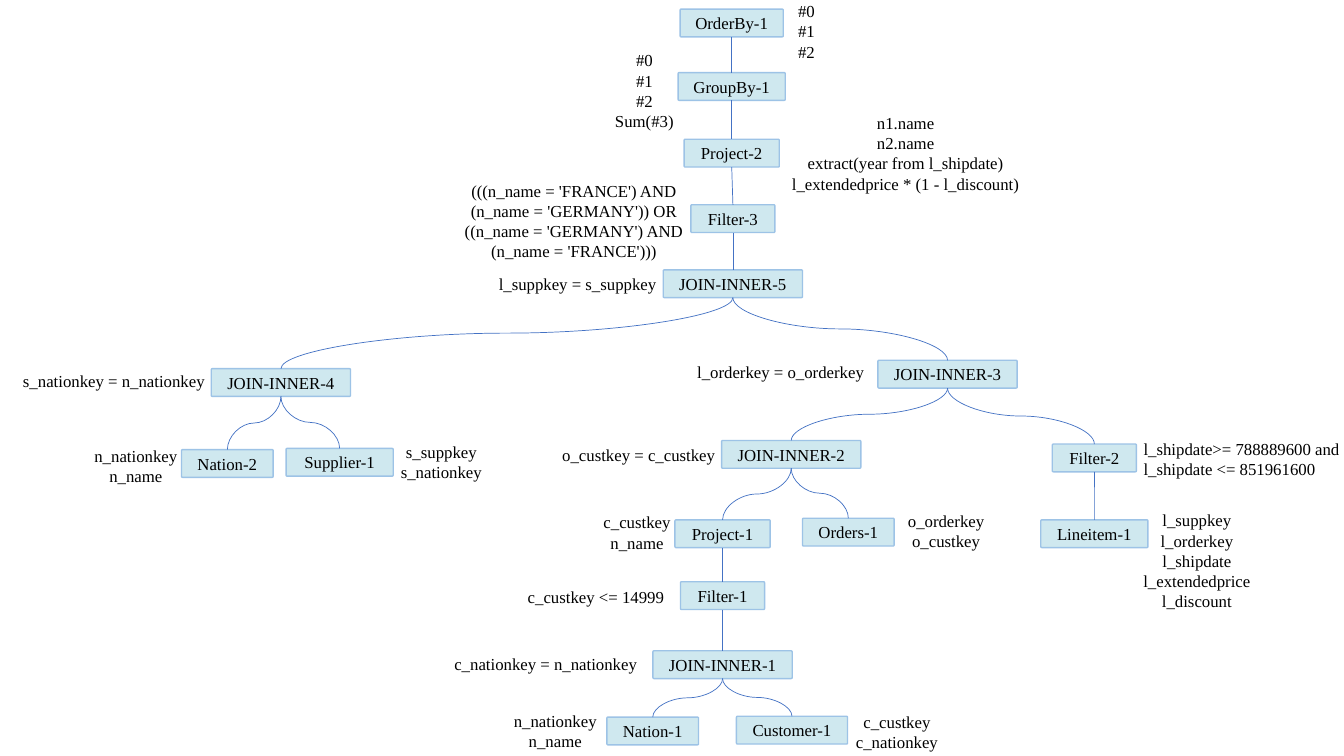
"""Draw a query plan tree with the columns and conditions of each operator."""
from lxml import etree
from pptx import Presentation
from pptx.dml.color import RGBColor
from pptx.enum.shapes import MSO_CONNECTOR, MSO_SHAPE
from pptx.enum.text import MSO_ANCHOR, MSO_AUTO_SIZE, PP_ALIGN
from pptx.oxml.ns import qn
from pptx.util import Cm, Pt

ROUNDED = MSO_SHAPE.ROUNDED_RECTANGLE
STRAIGHT, CURVE = MSO_CONNECTOR.STRAIGHT, MSO_CONNECTOR.CURVE
CENTER, LEFT = PP_ALIGN.CENTER, PP_ALIGN.LEFT
MIDDLE = MSO_ANCHOR.MIDDLE
FIT_SHAPE = MSO_AUTO_SIZE.SHAPE_TO_FIT_TEXT
TOP_SITE, BOTTOM_SITE = 0, 2
COLORS = {"fill": "CFE8EF", "border": "9DC3E6", "edge": "4472C4", "text": "000000"}
FONT = "Times New Roman"
OPERATOR_HEIGHT = 0.7
LINE_HEIGHT = 0.51
LABEL_PADDING = 0.25

operators = {
    "OrderBy-1": (18.44, 0.23, 2.6),
    "GroupBy-1": (18.44, 1.83, 2.7),
    "Project-2": (18.44, 3.51, 2.4),
    "Filter-3": (18.47, 5.16, 2.12),
    "JOIN-INNER-5": (18.47, 6.8, 3.51),
    "JOIN-INNER-4": (7.08, 9.29, 3.51),
    "Nation-2": (5.73, 11.33, 2.31),
    "Supplier-1": (8.56, 11.3, 2.7),
    "JOIN-INNER-3": (23.88, 9.08, 3.51),
    "JOIN-INNER-2": (19.94, 11.1, 3.51),
    "Filter-2": (27.58, 11.19, 2.12),
    "Lineitem-1": (27.58, 13.1, 2.7),
    "Project-1": (18.21, 13.1, 2.4),
    "Orders-1": (21.38, 13.06, 2.31),
    "Filter-1": (18.21, 14.66, 2.12),
    "JOIN-INNER-1": (18.21, 16.4, 3.51),
    "Nation-1": (16.45, 18.07, 2.31),
    "Customer-1": (19.96, 18.05, 2.8),
}

inputs = {
    "OrderBy-1": ["GroupBy-1"],
    "GroupBy-1": ["Project-2"],
    "Project-2": ["Filter-3"],
    "Filter-3": ["JOIN-INNER-5"],
    "JOIN-INNER-5": ["JOIN-INNER-4", "JOIN-INNER-3"],
    "JOIN-INNER-4": ["Nation-2", "Supplier-1"],
    "JOIN-INNER-3": ["JOIN-INNER-2", "Filter-2"],
    "JOIN-INNER-2": ["Project-1", "Orders-1"],
    "Filter-2": ["Lineitem-1"],
    "Project-1": ["Filter-1"],
    "Filter-1": ["JOIN-INNER-1"],
    "JOIN-INNER-1": ["Nation-1", "Customer-1"],
}

filter_3_condition = ("(((n_name = 'FRANCE') AND (n_name = 'GERMANY')) OR "
                      "((n_name = 'GERMANY') AND (n_name = 'FRANCE')))")

labels = [
    (19.69, -0.1, 1.27, 3, CENTER, ["#0", "#1", "#2"]),
    (14.88, 1.14, 2.72, 4, CENTER, ["#0", "#1", "#2", "Sum(#3)"]),
    (19.69, 2.72, 6.27, 4, CENTER, ["n1.name", "n2.name", "extract(year from l_shipdate)",
                                    "l_extendedprice * (1 - l_discount)"]),
    (11.33, 4.42, 6.27, 4, CENTER, [filter_3_condition]),
    (12.32, 6.78, 4.65, 1, LEFT, ["l_suppkey = s_suppkey"]),
    (0.33, 9.22, 5.23, 1, LEFT, ["s_nationkey = n_nationkey"]),
    (2.03, 11.1, 2.79, 2, CENTER, ["n_nationkey", "n_name"]),
    (9.73, 11.0, 2.79, 2, CENTER, ["s_suppkey", "s_nationkey"]),
    (17.32, 8.99, 4.75, 1, LEFT, ["l_orderkey = o_orderkey"]),
    (13.92, 11.07, 4.47, 1, LEFT, ["o_custkey = c_custkey"]),
    (28.57, 10.92, 5.56, 2, LEFT, ["l_shipdate>= 788889600 and", "l_shipdate <= 851961600"]),
    (28.4, 12.73, 3.53, 5, CENTER, ["l_suppkey", "l_orderkey", "l_shipdate",
                                    "l_extendedprice", "l_discount"]),
    (14.66, 12.78, 2.79, 2, CENTER, ["c_custkey", "n_name"]),
    (22.45, 12.75, 2.79, 2, CENTER, ["o_orderkey", "o_custkey"]),
    (13.05, 14.66, 4.04, 1, LEFT, ["c_custkey <= 14999"]),
    (11.2, 16.36, 5.28, 1, LEFT, ["c_nationkey = n_nationkey"]),
    (12.6, 17.78, 2.79, 2, CENTER, ["n_nationkey", "n_name"]),
    (21.21, 17.8, 2.79, 2, CENTER, ["c_custkey", "c_nationkey"]),
]


def color(part):
    return RGBColor.from_string(COLORS[part])


def write_lines(frame, lines, align):
    for index, line in enumerate(lines):
        paragraph = frame.add_paragraph() if index else frame.paragraphs[0]
        paragraph.alignment = align
        run = paragraph.add_run()
        run.text = line
        run.font.name = FONT
        run.font.size = Pt(12)
        run.font.color.rgb = color("text")


presentation = Presentation()
presentation.slide_width, presentation.slide_height = Cm(33.87), Cm(19.05)
slide = presentation.slides.add_slide(presentation.slide_layouts[6])

boxes = {}
for operator, (center, top, width) in operators.items():
    box = slide.shapes.add_shape(ROUNDED, Cm(center - width / 2), Cm(top),
                                 Cm(width), Cm(OPERATOR_HEIGHT))
    box.adjustments[0] = 0.04
    box.shadow.inherit = False
    box.fill.solid()
    box.fill.fore_color.rgb = color("fill")
    box.line.color.rgb = color("border")
    box.line.width = Pt(1)
    box.text_frame.vertical_anchor = MIDDLE
    box.text_frame.word_wrap = False
    write_lines(box.text_frame, [operator], CENTER)
    boxes[operator] = box

for parent, children in inputs.items():
    branching = len(children) > 1
    for child in children:
        edge = slide.shapes.add_connector(CURVE if branching else STRAIGHT, 0, 0, 0, 0)
        edge.begin_connect(boxes[parent], BOTTOM_SITE)
        edge.end_connect(boxes[child], TOP_SITE)
        edge.line.color.rgb = color("edge")
        edge.line.width = Pt(0.5)
        properties = edge._element.spPr
        etree.SubElement(properties, qn("a:effectLst"))
        if branching:
            across, down = edge.end_x - edge.begin_x, edge.end_y - edge.begin_y
            middle_x, middle_y = edge.begin_x + across // 2, edge.begin_y + down // 2
            edge.width, edge.height = down, abs(across)
            edge.left, edge.top = middle_x - down // 2, middle_y - abs(across) // 2
            transform = properties.find(qn("a:xfrm"))
            transform.set("rot", "16200000" if across > 0 else "5400000")
            transform.set("flipH", "1" if across > 0 else "0")

for left, top, width, rows, align, lines in labels:
    label = slide.shapes.add_textbox(Cm(left), Cm(top), Cm(width),
                                     Cm(LABEL_PADDING + rows * LINE_HEIGHT))
    label.text_frame.word_wrap = True
    label.text_frame.auto_size = FIT_SHAPE
    write_lines(label.text_frame, lines, align)

presentation.save("out.pptx")
